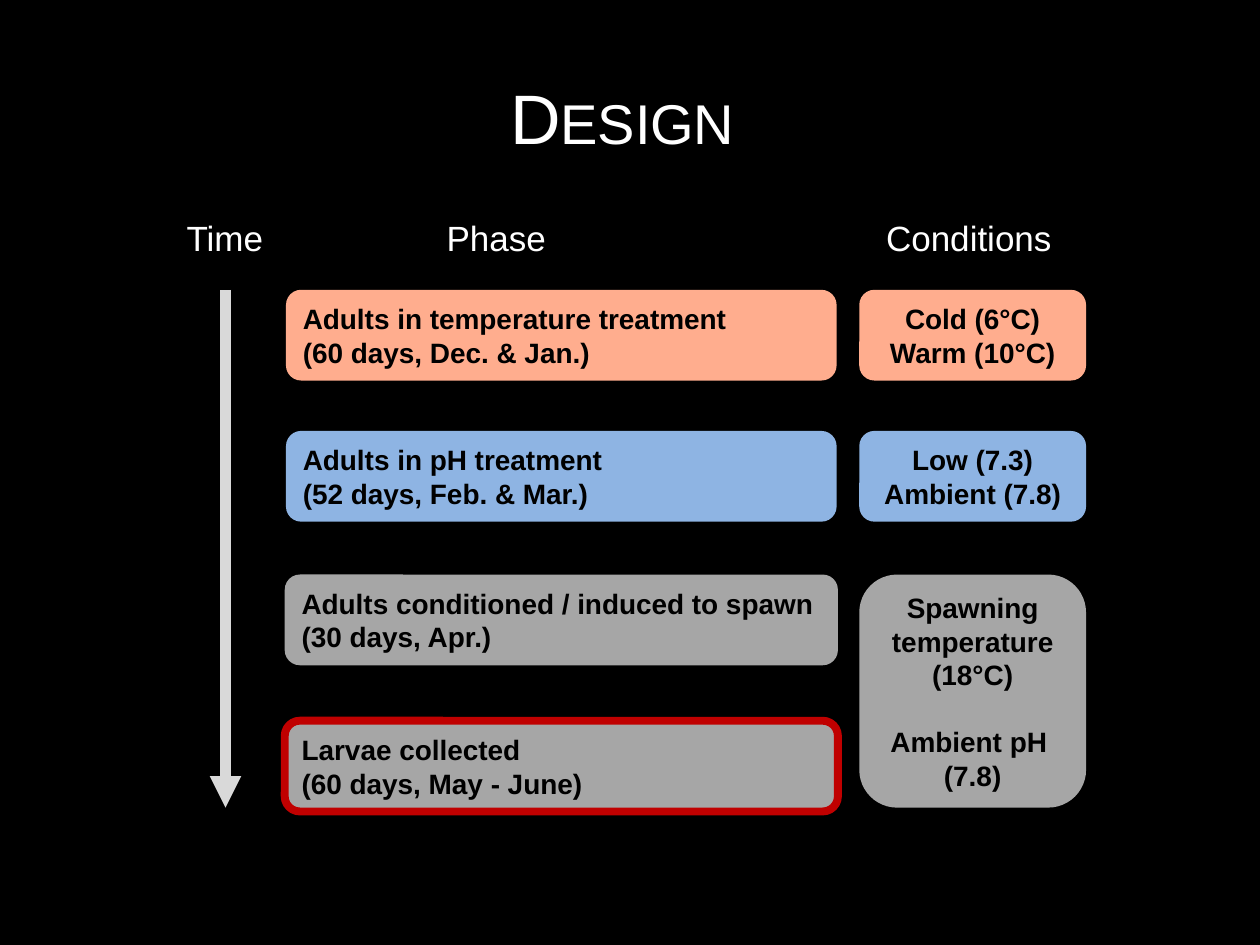
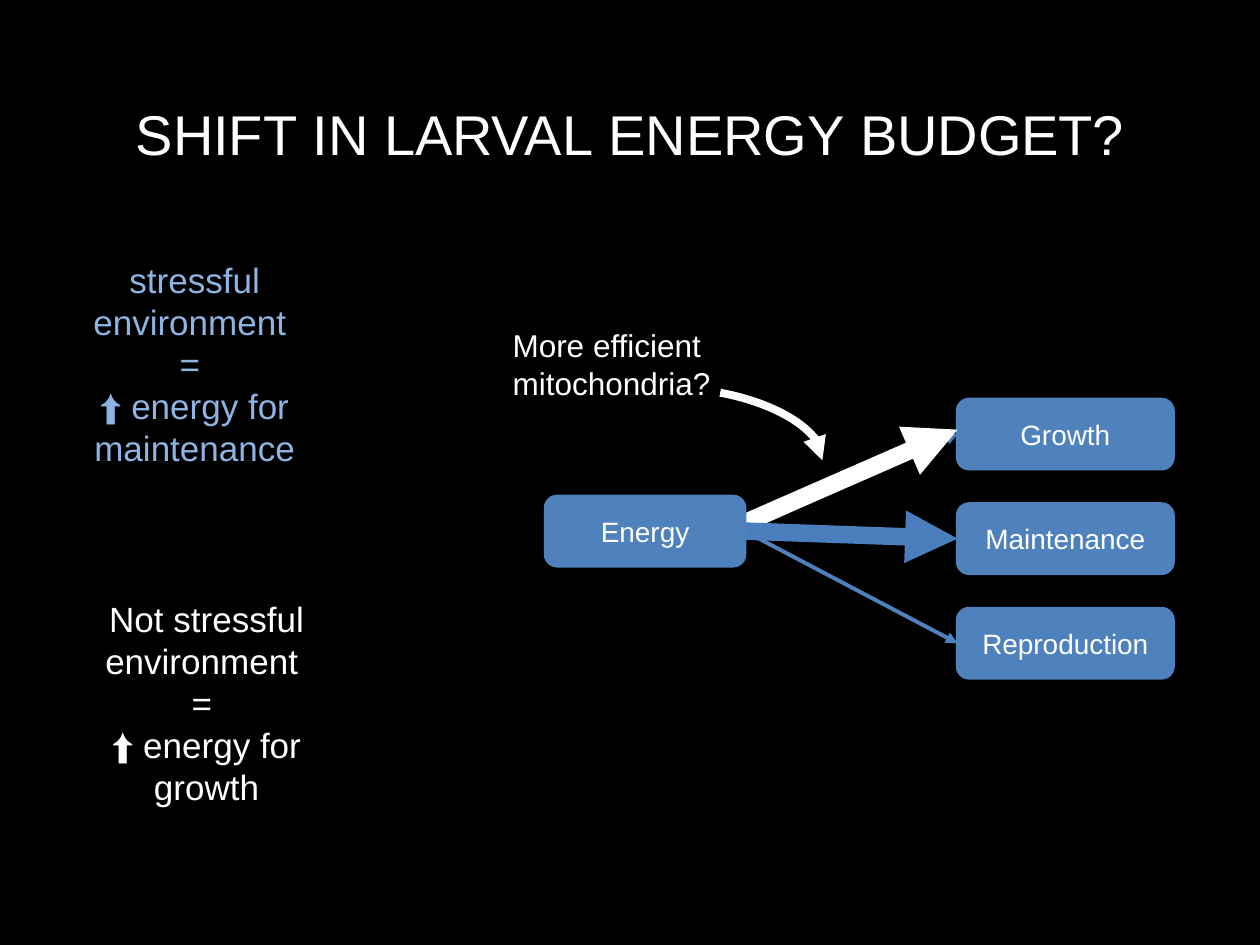
import dataclasses

import pptx
import pptx.dml.color
import pptx.enum.shapes
import pptx.enum.text
import pptx.oxml
import pptx.oxml.ns
import pptx.util

SCALE = 9144  # EMU in one px, 100 px to the inch
FONT = "Arial"
BLACK, WHITE = "000000", "FFFFFF"
SALMON, SKY, GRAY, SILVER, RED = "FFAD8E", "8EB4E3", "A6A6A6", "D9D9D9", "C00000"
BLUE, STEEL = "4F81BD", "4B7EBC"
LEFT = pptx.enum.text.PP_ALIGN.LEFT
CENTER = pptx.enum.text.PP_ALIGN.CENTER
KIND = pptx.enum.shapes.MSO_SHAPE


@dataclasses.dataclass
class Box:
    x: int
    y: int
    w: int
    h: int
    text: str
    size: int = 16
    ink: str = BLACK
    fill: str = ""
    edge: str = ""
    width: float = 2
    bold: bool = False
    align: int = CENTER


def px(value: int) -> int:
    return pptx.util.Emu(value * SCALE)


def rgb(code: str):
    return pptx.dml.color.RGBColor.from_string(code)


def write(frame, box: Box) -> None:
    """Put the text of a box in a frame, one paragraph a line."""
    frame.word_wrap = True
    frame.text = box.text
    for para in frame.paragraphs:
        para.alignment = box.align
        font = para.font
        font.name, font.size, font.bold = FONT, pptx.util.Pt(box.size), box.bold
        font.color.rgb = rgb(box.ink)


def stroke(line, color: str, width: float) -> None:
    line.color.rgb = rgb(color)
    line.width = pptx.util.Pt(width)


def point(shape) -> None:
    """End the outline of a shape in a triangle."""
    tip = pptx.oxml.parse_xml(
        f'<a:tailEnd {pptx.oxml.ns.nsdecls("a")} type="triangle"/>')
    shape.line._get_or_add_ln().append(tip)


def panel(slide, box: Box):
    shape = slide.shapes.add_shape(
        KIND.ROUNDED_RECTANGLE, px(box.x), px(box.y), px(box.w), px(box.h))
    shape.shadow.inherit = False
    if box.fill:
        shape.fill.solid()
        shape.fill.fore_color.rgb = rgb(box.fill)
    else:
        shape.fill.background()
    if box.edge:
        stroke(shape.line, box.edge, box.width)
    else:
        shape.line.fill.background()
    write(shape.text_frame, box)
    return shape


def label(slide, box: Box) -> None:
    shape = slide.shapes.add_textbox(px(box.x), px(box.y), px(box.w), px(box.h))
    write(shape.text_frame, box)


def arrow(slide, start: tuple[int, int], end: tuple[int, int],
          color: str, width: float):
    link = slide.shapes.add_connector(
        pptx.enum.shapes.MSO_CONNECTOR.STRAIGHT, *map(px, start + end))
    stroke(link.line, color, width)
    point(link)
    link._element.spPr.append(
        pptx.oxml.parse_xml(f'<a:effectLst {pptx.oxml.ns.nsdecls("a")}/>'))
    return link


def join(slide, source, target, color: str, width: float) -> None:
    """Run an arrow from the right side of one box to the left of another."""
    link = arrow(slide, (0, 0), (0, 0), color, width)
    link.begin_connect(source, 3)
    link.end_connect(target, 1)


def page(deck, text: str, top: int):
    """Add a slide with its title in small capitals."""
    slide = deck.slides.add_slide(deck.slide_layouts[5])
    title = slide.shapes.title
    box = Box(50, top, 900, 125, text, 40, WHITE)
    title.left, title.top = px(box.x), px(box.y)
    title.width, title.height = px(box.w), px(box.h)
    write(title.text_frame, box)
    props = title.text_frame.paragraphs[0]._p.pPr
    props.find(pptx.oxml.ns.qn("a:defRPr")).set("cap", "small")
    return slide


def design(deck) -> None:
    slide = page(deck, "Design ", 30)
    for x, w, head in ((131, 95, "Time"), (311, 166, "Phase"),
                       (686, 166, "Conditions")):
        panel(slide, Box(x, 160, w, 57, head, 20, WHITE))
    arrow(slide, (179, 230), (179, 641), SILVER, 6)

    phases = (
        (227, 230, 437, SALMON, "",
         "Adults in temperature treatment\n(60 days, Dec. & Jan.)"),
        (227, 342, 437, SKY, "",
         "Adults in pH treatment\n(52 days, Feb. & Mar.)"),
        (226, 456, 439, GRAY, "",
         "Adults conditioned / induced to spawn\n(30 days, Apr.)"),
        (226, 572, 439, GRAY, RED,
         "Larvae collected\n(60 days, May - June)"),
    )
    for x, y, w, fill, edge, text in phases:
        panel(slide, Box(x, y, w, 72, text, fill=fill, edge=edge, width=4.5,
                         bold=True, align=LEFT))

    states = (
        (230, 72, SALMON, "Cold (6°C) Warm (10°C)"),
        (342, 72, SKY, "Low (7.3) Ambient (7.8)"),
        (456, 185, GRAY, "Spawning temperature\n(18°C)\nAmbient pH \n(7.8)"),
    )
    for y, h, fill, text in states:
        last = panel(slide, Box(682, y, 180, h, text, fill=fill, bold=True))
    last.text_frame.paragraphs[2].space_before = pptx.util.Pt(19)


def budget(deck) -> None:
    slide = page(deck, "shift in larval energy budget?", 39)
    look = {"ink": WHITE, "fill": BLUE, "edge": BLUE}
    energy = panel(slide, Box(433, 394, 158, 55, "Energy", **look))
    growth, upkeep, brood = (
        panel(slide, Box(760, 317 + 83 * row, 171, 55, text, **look))
        for row, text in enumerate(("Growth", "Maintenance", "Reproduction")))
    join(slide, energy, growth, STEEL, 2.25)
    join(slide, energy, brood, BLUE, 2.25)
    arrow(slide, (575, 422), (760, 341), WHITE, 10)
    join(slide, energy, upkeep, STEEL, 10)
    slide.shapes._spTree.append(energy._element)  # covers the arrow starts

    label(slide, Box(397, 254, 223, 71, "More efficient mitochondria?",
                     18, WHITE, align=LEFT))
    curve = slide.shapes.add_shape(KIND.ARC, px(475), px(311), px(179), px(79))
    curve.adjustments[0], curve.adjustments[1] = 162, 215.47
    curve.rotation = 10.4
    curve.shadow.inherit = False
    curve.fill.background()
    stroke(curve.line, WHITE, 4.5)
    point(curve)

    label(slide, Box(50, 200, 209, 178,
                     "stressful environment \n= \n⬆ energy for maintenance",
                     20, SKY))
    label(slide, Box(69, 469, 190, 178,
                     "Not stressful environment \n= \n⬆ energy for growth",
                     20, WHITE))


def main() -> None:
    deck = pptx.Presentation()
    deck.slide_width, deck.slide_height = px(1000), px(750)
    back = deck.slide_master.background.fill
    back.solid()
    back.fore_color.rgb = rgb(BLACK)
    design(deck)
    budget(deck)
    deck.save("out.pptx")


if __name__ == "__main__":
    main()
